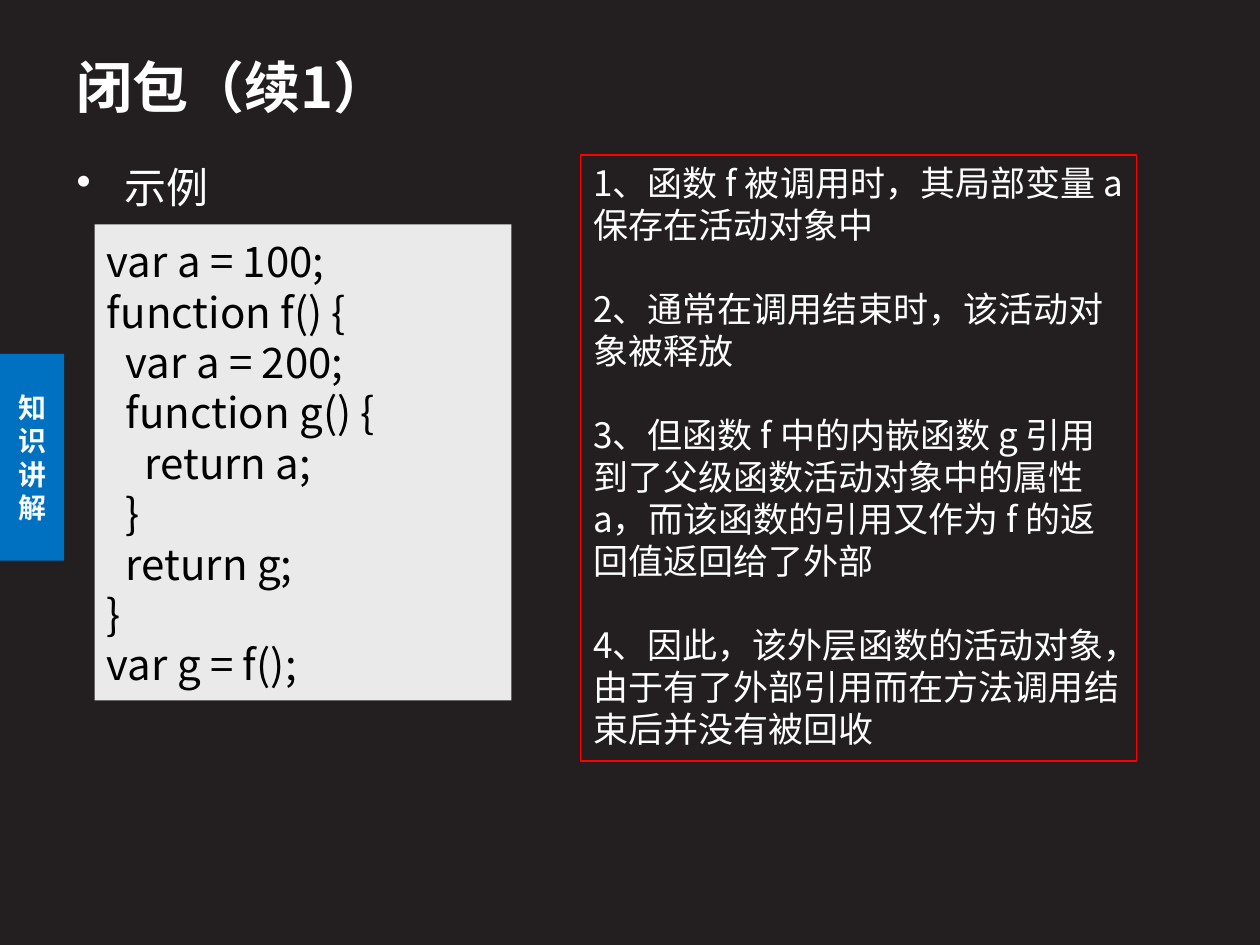
import pptx
import pptx.util
import pptx.dml.color
import pptx.enum.shapes
import pptx.enum.text
import pptx.oxml
import pptx.oxml.ns
from pptx.util import Inches

COLORS = {"background": "231F20", "white": "FFFFFF", "tab": "0070C0", "tab_text": "F9FAFB",
          "code_fill": "EAEAEA", "code_text": "000000", "frame": "FF0000"}
FONT = "Noto Sans CJK SC"
RECTANGLE = pptx.enum.shapes.MSO_SHAPE.RECTANGLE
ANCHOR = pptx.enum.text.MSO_ANCHOR
ALIGN = pptx.enum.text.PP_ALIGN


def rgb(key):
    return pptx.dml.color.RGBColor.from_string(COLORS[key])


def add_block(box, lines, fill=None, line=None, size=20, color="white", bold=False,
              anchor=ANCHOR.TOP, align=ALIGN.LEFT, pitch=None, gap=0):
    block = slide.shapes.add_shape(RECTANGLE, *[Inches(v) for v in box])
    block.shadow.inherit = False
    if fill:
        block.fill.solid()
        block.fill.fore_color.rgb = rgb(fill)
    else:
        block.fill.background()
    if line:
        block.line.color.rgb = rgb(line)
        block.line.width = pptx.util.Pt(0.75)
    else:
        block.line.fill.background()
    frame = block.text_frame
    frame.word_wrap = True
    frame.vertical_anchor = anchor
    frame.text = "\n".join(lines)
    for index, paragraph in enumerate(frame.paragraphs):
        paragraph.alignment = align
        if pitch:
            paragraph.line_spacing = pitch
        if index and gap:
            paragraph.space_before = pptx.util.Pt(gap)
        for run in paragraph.runs:
            run.font.size = pptx.util.Pt(size)
            run.font.bold = bold
            run.font.color.rgb = rgb(color)
            run.font.name = FONT
            east_asian = pptx.oxml.parse_xml(
                f'<a:ea {pptx.oxml.ns.nsdecls("a")} typeface="{FONT}"/>')
            run.font._element.append(east_asian)
    return block


deck = pptx.Presentation()
deck.slide_width, deck.slide_height = Inches(10), Inches(7.5)
slide = deck.slides.add_slide(deck.slide_layouts[6])
slide.background.fill.solid()
slide.background.fill.fore_color.rgb = rgb("background")

add_block((0, 2.81, 0.51, 1.64), ["知识讲解"], fill="tab", size=16, color="tab_text",
          bold=True, anchor=ANCHOR.MIDDLE, align=ALIGN.CENTER, pitch=pptx.util.Pt(19.2))

add_block((0.51, 0.29, 7.4, 0.78), ["闭包（续1）"], size=32, bold=True, anchor=ANCHOR.MIDDLE)

example = add_block((0.51, 1.15, 8.82, 1.1), ["示例"], size=24, pitch=1.2)
bullet_props = example.text_frame.paragraphs[0]._p.get_or_add_pPr()
bullet_props.set("marL", str(Inches(0.38)))
bullet_props.set("indent", str(Inches(-0.38)))
bullet_props.append(pptx.oxml.parse_xml(
    f'<a:buChar {pptx.oxml.ns.nsdecls("a")} char="•"/>'))

code_lines = [(0, "var a = 100;"), (0, "function f() {"), (1, "var a = 200;"),
              (1, "function g() {"), (2, "return a;"), (1, "}"), (1, "return g;"),
              (0, "}"), (0, "var g = f();")]
code = add_block((0.75, 1.78, 3.31, 3.78), [text for depth, text in code_lines],
                 fill="code_fill", size=24, color="code_text", anchor=ANCHOR.MIDDLE,
                 pitch=pptx.util.Pt(28.8))
for paragraph, (depth, text) in zip(code.text_frame.paragraphs, code_lines):
    paragraph._p.get_or_add_pPr().set("marL", str(Inches(0.15 * depth)))

steps = ["函数 f 被调用时，其局部变量 a 保存在活动对象中",
         "通常在调用结束时，该活动对象被释放",
         "但函数 f 中的内嵌函数 g 引用到了父级函数活动对象中的属性 a，而该函数的引用又作为 f 的返回值返回给了外部",
         "因此，该外层函数的活动对象，由于有了外部引用而在方法调用结束后并没有被回收"]
add_block((4.61, 1.23, 4.41, 4.81),
          [f"{number}、{step}" for number, step in enumerate(steps, 1)],
          line="frame", pitch=pptx.util.Pt(24), gap=24)

deck.save("out.pptx")
